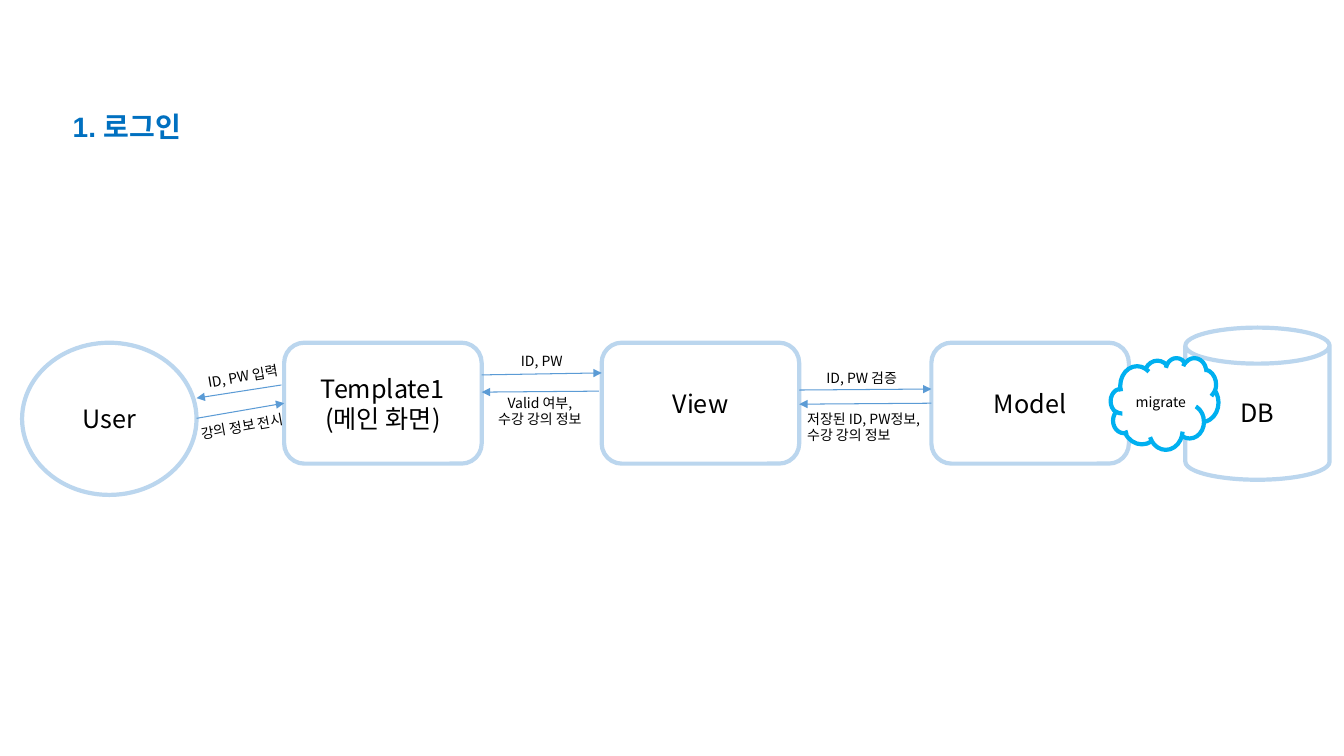
from dataclasses import dataclass

from pptx import Presentation
from pptx.dml.color import RGBColor as RGB
from pptx.enum.shapes import MSO_CONNECTOR as Link, MSO_SHAPE as Form
from pptx.enum.text import MSO_ANCHOR as Anchor, PP_ALIGN as Align
from pptx.oxml.xmlchemy import OxmlElement as Node
from pptx.util import Pt


@dataclass(frozen=True)
class Theme:
    paper: str = "FFFFFF"
    ink: str = "000000"
    title: str = "0070C0"
    frame: str = "BBD6EE"
    cloud: str = "00B0F0"
    arrow: str = "5B9BD5"
    font: str = "Noto Sans CJK KR"
    head: str = "Arial"
    big: int = 20
    mid: int = 18
    small: int = 10


def write(frame, text, font, hangul, size, color, bold=False,
          align=Align.LEFT, anchor=Anchor.TOP, pad=3.6, space=None):
    """Fill a text frame, one paragraph per line of text."""
    frame.word_wrap = True
    frame.vertical_anchor = anchor
    frame.margin_left = frame.margin_right = Pt(7.2)
    frame.margin_top = frame.margin_bottom = Pt(pad)
    for i, line in enumerate(text.split("\n")):
        para = frame.add_paragraph() if i else frame.paragraphs[0]
        para.alignment = align
        if space:
            para.line_spacing = space
        run = para.add_run()
        run.text = line
        run.font.size = Pt(size)
        run.font.bold = bold
        run.font.color.rgb = RGB.from_string(color)
        run.font.name = font
        asian = Node("a:ea")
        asian.set("typeface", hangul)
        run.font._element.append(asian)


class Board:
    def __init__(self, slide, theme):
        self.slide = slide
        self.theme = theme

    def node(self, form, text, box, color=None, size=None):
        look = self.theme
        shape = self.slide.shapes.add_shape(form, *map(Pt, box))
        shape.shadow.inherit = False
        shape.fill.solid()
        shape.fill.fore_color.rgb = RGB.from_string(look.paper)
        shape.line.color.rgb = RGB.from_string(color or look.frame)
        shape.line.width = Pt(3)
        write(shape.text_frame, text, look.font, look.font, size or look.mid,
              look.ink, align=Align.CENTER, anchor=Anchor.MIDDLE)

    def label(self, text, box, turn=0, align=Align.LEFT):
        look = self.theme
        shape = self.slide.shapes.add_textbox(*map(Pt, box))
        shape.rotation = turn
        write(shape.text_frame, text, look.font, look.font, look.small,
              look.ink, align=align)

    def title(self, text, box):
        look = self.theme
        shape = self.slide.shapes.add_textbox(*map(Pt, box))
        write(shape.text_frame, text, look.head, look.font, look.big,
              look.title, bold=True, align=Align.CENTER,
              anchor=Anchor.MIDDLE, pad=7.2, space=1.25)

    def arrow(self, *ends):
        """Draw an arrow from x1, y1 to x2, y2."""
        line = self.slide.shapes.add_connector(Link.STRAIGHT, *map(Pt, ends))
        line.line.color.rgb = RGB.from_string(self.theme.arrow)
        line.line.width = Pt(0.75)
        props = line._element.spPr
        tip = Node("a:tailEnd")
        tip.set("type", "triangle")
        props.get_or_add_ln().append(tip)
        props.append(Node("a:effectLst"))


def main():
    deck = Presentation()
    deck.slide_width, deck.slide_height = Pt(960), Pt(540)
    theme = Theme()
    board = Board(deck.slides.add_slide(deck.slide_layouts[6]), theme)

    top, wide, high = 244.8, 141.1, 86.4
    main_x, view_x, model_x = 203, 429.8, 665.3
    user_end, main_end, view_end = 140.4, main_x + wide, view_x + wide

    board.node(Form.OVAL, "User", (15.8, top, 124.6, 108.7))
    board.node(Form.ROUNDED_RECTANGLE, "Template1\n(메인 화면)",
               (main_x, top, wide, high))
    board.node(Form.CAN, "DB", (846.7, 234, 103, 108.7))

    board.label("ID, PW 입력", (141.1, 258.5, 72.7, 19.4), turn=-9.8)
    board.label("강의 정보 전시", (136.1, 294.5, 79.2, 18), turn=-10.1)
    board.label("ID, PW 검증", (583.2, 260.6, 77, 19.4))
    board.label("저장된 ID, PW정보,\n수강 강의 정보", (569.5, 289.4, 105.8, 31.7))
    board.label("ID, PW", (365, 248.4, 52.6, 19.4))
    board.label("Valid 여부,\n수강 강의 정보", (304.6, 277.9, 162, 31.7),
                align=Align.CENTER)

    for x, text in ((view_x, "View"), (model_x, "Model")):
        board.node(Form.ROUNDED_RECTANGLE, text, (x, top, wide, high))
    board.node(Form.CLOUD, "migrate", (793.4, 255.6, 77, 65.5),
               color=theme.cloud, size=theme.small)

    board.arrow(main_x - 2, 275, user_end, 284.4)
    board.arrow(user_end, 298.8, main_x, 288)
    board.arrow(main_end, 267.8, view_x, 266.4)
    board.arrow(view_x - 2, 279.4, main_end, 280.1)
    board.arrow(view_end, 278.6, model_x, 277.9)
    board.arrow(model_x, 288, view_end, 288.7)

    board.title("1. 로그인", (-47.5, 51.1, 276.5, 72.7))
    deck.save("out.pptx")


if __name__ == "__main__":
    main()
